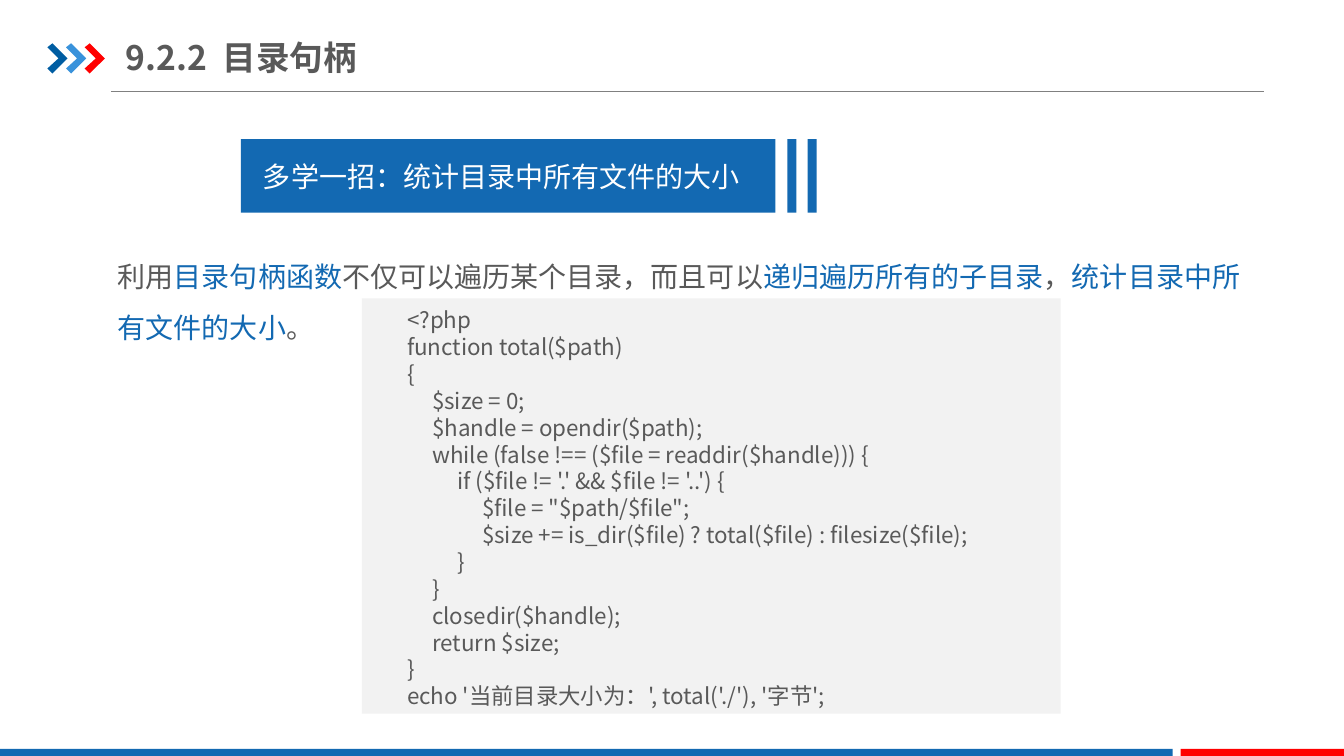
from pptx import Presentation
from pptx import util as u
from pptx.dml.color import RGBColor
from pptx.enum import shapes, text
from pptx.oxml.ns import qn
from lxml import etree

BLUE, RED, GRAY = "1369B2", "FF0000", "595959"

CODE = """<?php
function total($path)
{
     $size = 0;
     $handle = opendir($path);
     while (false !== ($file = readdir($handle))) {
          if ($file != '.' && $file != '..') {
               $file = "$path/$file";
               $size += is_dir($file) ? total($file) : filesize($file);
          }
     }
     closedir($handle);
     return $size;
}
echo '当前目录大小为：', total('./'), '字节';"""


def color(value):
    return RGBColor.from_string(value)


class SlideBuilder:
    font_name = "Noto Sans CJK SC"

    def __init__(self, slide):
        self.slide = slide

    def finish(self, shape, fill):
        """Give a shape a flat fill without outline or shadow."""
        shape.shadow.inherit = False
        shape.fill.solid()
        shape.fill.fore_color.rgb = color(fill)
        shape.line.fill.background()

    def rectangle(self, left, top, width, height, fill):
        shape = self.slide.shapes.add_shape(
            shapes.MSO_SHAPE.RECTANGLE, u.Inches(left), u.Inches(top),
            u.Inches(width), u.Inches(height))
        self.finish(shape, fill)

    def chevron(self, left, top, fill):
        outline = [(0, 0.04), (0.05, 0), (0.2, 0.15), (0.05, 0.3), (0, 0.25), (0.11, 0.15)]
        points = [(u.Inches(left + x), u.Inches(top + y)) for x, y in outline]
        builder = self.slide.shapes.build_freeform(*points[0])
        builder.add_line_segments(points[1:], close=True)
        self.finish(builder.convert_to_shape(), fill)

    def rule(self, left, right, y, line_color, width):
        line = self.slide.shapes.add_connector(
            shapes.MSO_CONNECTOR.STRAIGHT,
            u.Inches(left), u.Inches(y), u.Inches(right), u.Inches(y))
        line.line.color.rgb = color(line_color)
        line.line.width = u.Pt(width)
        etree.SubElement(line._element.spPr, qn("a:effectLst"))

    def text_box(self, left, top, width, height, paragraphs, size, fill=GRAY, bold=False,
                 spacing=None, indent=0, middle=False, side_margin=0.1):
        """Each paragraph is a list of (text, colour) runs; colour None means fill."""
        box = self.slide.shapes.add_textbox(
            u.Inches(left), u.Inches(top), u.Inches(width), u.Inches(height))
        frame = box.text_frame
        frame.word_wrap = True
        frame.margin_left = frame.margin_right = u.Inches(side_margin)
        if middle:
            frame.vertical_anchor = text.MSO_ANCHOR.MIDDLE
        for index, runs in enumerate(paragraphs):
            paragraph = frame.add_paragraph() if index else frame.paragraphs[0]
            if spacing:
                paragraph.line_spacing = spacing
            properties = paragraph._p.get_or_add_pPr()
            if indent:
                properties.set("indent", str(u.Inches(indent)))
            font = paragraph.font
            font.size, font.bold, font.name = u.Pt(size), bold, self.font_name
            font.color.rgb = color(fill)
            east_asian = etree.SubElement(properties.find(qn("a:defRPr")), qn("a:ea"))
            east_asian.set("typeface", self.font_name)
            for content, run_color in runs:
                run = paragraph.add_run()
                run.text = content
                if run_color:
                    run.font.color.rgb = color(run_color)


def main():
    presentation = Presentation()
    presentation.slide_width = u.Inches(13.33)
    presentation.slide_height = u.Inches(7.5)
    builder = SlideBuilder(presentation.slides.add_slide(presentation.slide_layouts[6]))

    builder.rule(1.1, 12.54, 0.91, "808080", 0.75)
    for index, fill in enumerate(["005DA2", "3992DB", RED]):
        builder.chevron(0.47 + 0.185 * index, 0.43, fill)
    builder.rectangle(0, 7.43, 11.63, 0.09, BLUE)
    builder.rectangle(11.71, 7.43, 1.63, 0.09, RED)
    builder.text_box(1.25, 0.29, 4.26, 0.55, [[("9.2.2  目录句柄", None)]], 24,
                     bold=True, middle=True, side_margin=0)

    builder.text_box(1.07, 2.36, 11.34, 1.11, [[
        ("利用", None), ("目录句柄函数", BLUE),
        ("不仅可以遍历某个目录，而且可以", None), ("递归遍历所有的子目录", BLUE),
        ("，", None), ("统计目录中所有文件的大小", BLUE), ("。", None),
    ]], 20, spacing=1.5)

    for left, width in [(2.39, 5.3), (7.81, 0.09), (8.01, 0.09)]:
        builder.rectangle(left, 1.38, width, 0.73, BLUE)
    builder.text_box(2.51, 1.53, 5.18, 0.44,
                     [[("多学一招：统计目录中所有文件的大小", None)]], 20, fill="FFFFFF")

    builder.rectangle(3.59, 2.96, 6.93, 4.12, "F2F2F2")
    builder.text_box(3.65, 2.99, 6.87, 4.14, [[(line, None)] for line in CODE.split("\n")],
                     16, indent=0.29)

    presentation.save("out.pptx")


if __name__ == "__main__":
    main()
